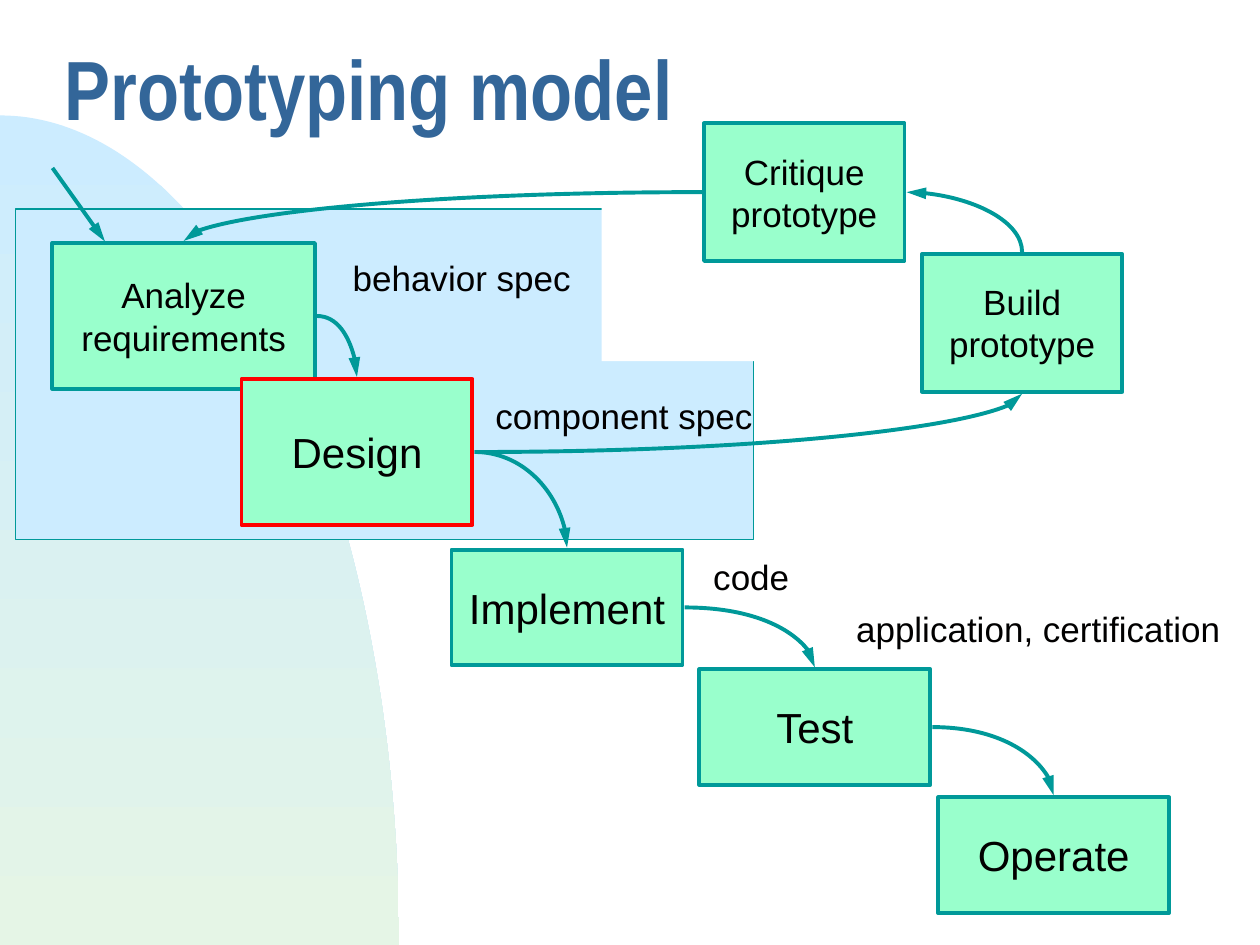
import math
import pptx
import pptx.dml.color
import pptx.enum.shapes
import pptx.enum.text
import pptx.oxml
import pptx.oxml.ns
import pptx.util

# Grid: 120 columns by 90 rows, 12 to the inch
CELL = pptx.util.Inches(1) / 12
GAP = 0.2
THEME = {
    "sky": "CCECFF", "mist": "E5F5E6", "paper": "FFFFFF", "mint": "99FFCC",
    "teal": "009999", "red": "FF0000", "ink": "010000", "blue": "336699",
    "thin": 0.75, "thick": 2.25,
    "title": {"size": 48, "name": "Arial Narrow", "bold": True},
    "stage": {"size": 24, "name": "Arial"},
    "note": {"size": 20, "name": "Arial"},
}
ENUM = pptx.enum.text
MID = ENUM.MSO_ANCHOR.MIDDLE

# Stage: text, place in the flow, type style, line colour
STAGES = {
    "analyze": ("Analyze\nrequirements", (0, 12.15, 25, 13.9), "note", "teal"),
    "design": ("Design", (18, 25.1, 22, 13.9), "stage", "red"),
    "code": ("Implement", (38, 41.35, 22, 11), "stage", "teal"),
    "test": ("Test", (61.6, 52.75, 22, 11), "stage", "teal"),
    "run": ("Operate", (84.35, 64.95, 22, 11), "stage", "teal"),
    "build": ("Build\nprototype", (82.8, 13.2, 19.1, 13.1), "note", "teal"),
    "judge": ("Critique\nprototype", (62.05, 0.75, 19.1, 13.1), "note", "teal"),
}
# Link: stage left or entered at a side, stage met at an edge, arrow end
LINKS = [
    ("analyze", "right", "design", "top", "tail"),
    ("design", "right", "code", "top", "tail"),
    ("code", "right", "test", "top", "tail"),
    ("test", "right", "run", "top", "tail"),
    ("judge", "right", "build", "top", "head"),
    ("judge", "left", "analyze", "top", "tail"),
    ("design", "right", "build", "foot", "tail"),
]
NOTES = [
    ("behavior spec", (27.4, 12.8, 23.2, 5.3)),
    ("component spec", (41, 26, 26.9, 5.3)),
    ("code", (61.75, 41.3, 11, 5.3)),
    ("application, certification", (75.35, 46.3, 37.1, 5.3)),
]


def tint(key):
    return pptx.dml.color.RGBColor.from_string(THEME[key])


def emu(*cells):
    return [round(cell * CELL) for cell in cells]


def shift(box, part):
    return (box[0] + part[0], box[1] + part[1], *part[2:])


def apply(item, form):
    for name, value in form.items():
        setattr(item, name, value)


def stroke(item, key, width):
    item.line.color.rgb = tint(key)
    item.line.width = pptx.util.Pt(THEME[width])


def write(shape, text, style, ink, frame, para):
    apply(shape.text_frame, frame)
    line = shape.text_frame.paragraphs[0]
    line.text = text
    apply(line, para)
    for run in line.runs:
        apply(run.font, {**THEME[style], "size": pptx.util.Pt(THEME[style]["size"])})
        run.font.color.rgb = tint(ink)


def block(slide, box, fill, edge=None, width="thick"):
    kind = pptx.enum.shapes.MSO_SHAPE.RECTANGLE
    shape = slide.shapes.add_shape(kind, *emu(*box))
    shape.shadow.inherit = False
    shape.fill.solid()
    shape.fill.fore_color.rgb = tint(fill)
    if edge:
        stroke(shape, edge, width)
    else:
        shape.line.fill.background()
    return shape


def arrow(slide, start, stop, end="tail", curved=False):
    kinds = pptx.enum.shapes.MSO_CONNECTOR
    kind = kinds.CURVE if curved else kinds.STRAIGHT
    link = slide.shapes.add_connector(kind, *emu(*start, *stop))
    stroke(link, "teal", "thick")
    props = link._element.spPr
    if curved:
        props.find(pptx.oxml.ns.qn("a:prstGeom")).set("prst", "curvedConnector2")
    space = pptx.oxml.ns.nsdecls("a")
    tip = pptx.oxml.parse_xml(f'<a:{end}End {space} type="triangle" len="lg"/>')
    props.find(pptx.oxml.ns.qn("a:ln")).append(tip)
    props.append(pptx.oxml.parse_xml(f"<a:effectLst {space}/>"))


def port(box, side):
    left, top, wide, high = box
    return {
        "left": (left - GAP, top + high / 2),
        "right": (left + wide + GAP, top + high / 2),
        "top": (left + wide / 2, top - GAP),
        "foot": (left + wide / 2, top + high + GAP),
    }[side]


def draw_hill(slide, box):
    """A quarter ellipse, centred on the lower left corner."""
    left, top, wide, high = box
    steps = 90
    turns = [math.pi / 2 * step / steps for step in range(steps + 1)]
    rim = [emu(left + wide * math.sin(turn), top + high * (1 - math.cos(turn)))
           for turn in turns]
    pen = slide.shapes.build_freeform(*rim[0])
    pen.add_line_segments(rim[1:] + [emu(left, top + high)], close=True)
    hill = pen.convert_to_shape()
    hill.shadow.inherit = False
    hill.line.fill.background()
    hill.fill.gradient()
    hill.fill.gradient_angle = 270
    for stop, key in zip(hill.fill.gradient_stops, ("sky", "mist")):
        stop.color.rgb = tint(key)


def draw_zone(slide, box):
    """The specification area with its upper right corner cut out."""
    block(slide, box, "sky", "teal", "thin")
    block(slide, shift(box, (55.8, -2.3, 22.9, 16.8)), "paper")


def draw_title(slide, box):
    title = slide.shapes.add_textbox(*emu(*box))
    write(title, "Prototyping model", "title", "blue",
          {"word_wrap": True, "vertical_anchor": MID}, {"line_spacing": 0.7})


def draw_flow(slide, box):
    """Stages, notes and the arrows between stages."""
    spots = {}
    for name, (text, part, style, edge) in STAGES.items():
        spots[name] = shift(box, part)
        stage = block(slide, spots[name], "mint", edge)
        write(stage, text, style, "ink",
              {"word_wrap": style == "stage", "vertical_anchor": MID},
              {"alignment": ENUM.PP_ALIGN.CENTER})
    for text, part in NOTES:
        note = slide.shapes.add_textbox(*emu(*shift(box, part)))
        write(note, text, "note", "ink",
              {"word_wrap": False, "auto_size": ENUM.MSO_AUTO_SIZE.SHAPE_TO_FIT_TEXT},
              {"alignment": ENUM.PP_ALIGN.LEFT})
    for first, side, last, edge, end in LINKS:
        arrow(slide, port(spots[first], side), port(spots[last], edge), end, True)
    # Entry arrow
    arrow(slide, shift(box, (0, 5)), shift(box, (5, 12)))


def main():
    deck = pptx.Presentation()
    apply(deck, {"slide_width": emu(120)[0], "slide_height": emu(90)[0]})
    slide = deck.slides.add_slide(deck.slide_layouts[6])
    draw_hill(slide, (0, 11, 38, 79))
    draw_zone(slide, (1.5, 19.9, 70.3, 31.5))
    draw_title(slide, (5, 2, 102, 15))
    draw_flow(slide, (5, 11, 107, 76))
    deck.save("out.pptx")


if __name__ == "__main__":
    main()
